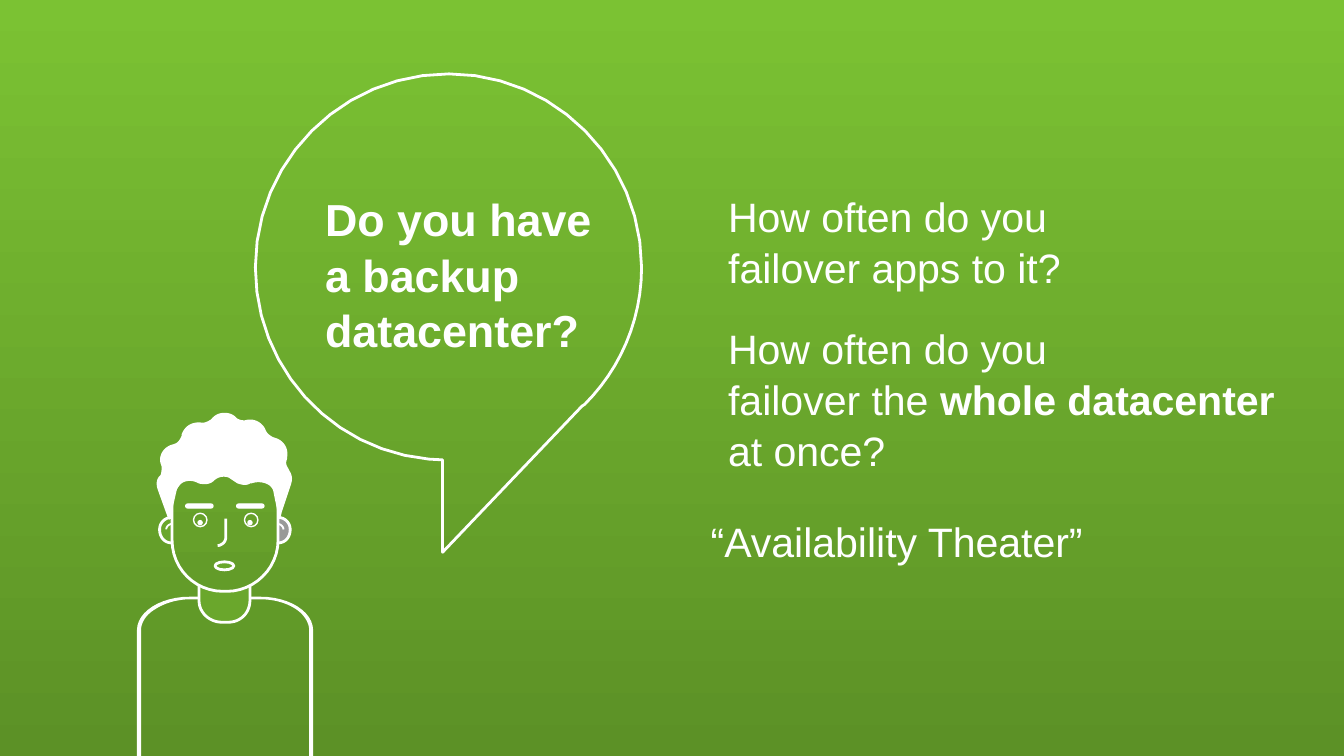
from dataclasses import dataclass
from typing import Optional

from pptx import Presentation
from pptx.dml.color import RGBColor
from pptx.enum.shapes import MSO_SHAPE as Preset
from pptx.enum.text import MSO_AUTO_SIZE as AutoSize
from pptx.util import Pt

WHITE = RGBColor(0xFF, 0xFF, 0xFF)
LIGHT_GREEN = RGBColor(0x7B, 0xC2, 0x33)
DARK_GREEN = RGBColor(0x5C, 0x91, 0x26)
SKIN_GREEN = RGBColor(0x6A, 0xA7, 0x2C)
GRAY = RGBColor(0x99, 0x9A, 0x98)
WIDTH, HEIGHT = 720, 405
FACE_MIRROR = 241  # sum of the x values of a point and its mirror point
CURVE_STEPS = 12


@dataclass
class Outline:
    """A start point, then lines (x, y) and cubic curves (six numbers)."""
    start: tuple
    segments: list
    fill: Optional[RGBColor] = None
    line: float = 0
    closed: bool = True


@dataclass
class Oval:
    left: float
    top: float
    width: float
    height: float
    fill: Optional[RGBColor] = None
    line: float = 0
    preset: Preset = Preset.OVAL


BUBBLE = Outline((240.5, 39.6), [
    (297.4, 39.6, 343.7, 86.4, 343.7, 143.3), (343.7, 172.1, 331.9, 198, 313.2, 216.7),
    (311.8, 217.6), (237.1, 295.9), (237.1, 246.4), (229.7, 246),
    (177.1, 241.2, 136.8, 196.6, 136.8, 143.3), (136.8, 86.4, 182.9, 39.6, 240.5, 39.6),
], line=1.5)

BODY = Outline((73.4, 407.5), [
    (73.4, 337.7), (73.4, 327.6, 86.4, 319.7, 101.5, 319.7), (139.7, 319.7),
    (154.8, 319.7, 167.8, 327.6, 167.8, 337.7), (167.8, 407.5), (165.7, 407.5),
    (165.7, 337.7), (165.7, 333.4, 162.7, 329, 158.4, 326.2),
    (153.4, 323, 146.9, 321.1, 139.7, 321.1), (101.5, 321.1),
    (95, 321.1, 87.8, 323.3, 83.5, 326.2), (78.5, 329, 75.6, 333.4, 75.6, 337.7),
    (75.6, 407.5),
], fill=WHITE)

NECK = Outline((122.4, 333.4), [
    (118.8, 333.4), (112.3, 333.4, 106.6, 328.3, 106.6, 321.8), (106.6, 311),
    (133.9, 311), (133.9, 321.8), (133.9, 328.3, 128.9, 333.4, 122.4, 333.4),
], fill=SKIN_GREEN, line=1.5)

HEAD = Outline((121.7, 316.8), [
    (119.5, 316.8), (104.4, 316.8, 92.2, 304.6, 92.2, 289.4), (92.2, 269.3),
    (92.2, 260.6, 99.4, 253.4, 108, 253.4), (134.6, 253.4),
    (142.6, 253.4, 149, 259.9, 149, 267.8), (149, 289.4),
    (149, 304.6, 136.1, 316.8, 121.7, 316.8),
], line=1.5)

HAIR = Outline((90.7, 277.9), [
    (85, 262.1), (84.2, 259.9, 84.2, 257, 85.7, 255.6), (86.4, 254.9),
    (87.1, 253.4, 87.1, 251.3, 87.1, 249.8), (86.4, 247.7),
    (85.7, 244.1, 87.8, 240.5, 91.4, 239), (93.6, 238.3),
    (95.8, 237.6, 97.2, 235.4, 97.9, 233.3), (97.9, 232.6),
    (99.4, 229, 102.2, 226.8, 106.6, 226.8), (107.3, 226.8),
    (109.4, 227.5, 111.6, 226.1, 113, 225.4), (114.5, 223.9),
    (117.4, 221, 122.4, 221, 125.3, 223.2), (126, 223.9),
    (127.4, 225.4, 130.3, 226.1, 132.5, 225.4), (136.1, 224.6, 140.4, 226.8, 141.8, 230.4),
    (142.6, 232.6, 144.7, 234, 146.2, 234.7), (148.3, 235.4),
    (151.9, 236.9, 154.1, 240.5, 153.4, 244.8), (153.4, 245.5),
    (152.6, 247.7, 152.6, 249.1, 154.1, 251.3), (154.8, 252.7),
    (156.2, 254.9, 156.2, 257, 155.5, 259.2), (150.5, 274.3), (149.8, 277.2), (146.9, 262.8),
    (145.4, 257.8, 138.2, 257, 134.6, 258.5), (133.9, 258.5),
    (131.8, 259.9, 129.6, 259.2, 127.4, 258.5), (123.1, 255.6),
    (120.2, 254.2, 116.6, 255, 114.5, 257), (112.3, 259.2, 109.4, 259.2, 106.6, 258.5),
    (103, 256.3, 96.5, 256.3, 94.3, 262.1),
], fill=WHITE, line=1)

RIGHT_EAR = Outline((141.8, 283.7), [
    (141.8, 280.1, 144.7, 277.2, 149, 277.2), (152.6, 277.2, 155.5, 280.1, 155.5, 283.7),
    (155.5, 288, 152.6, 290.9, 149, 290.9), (147.6, 290.9, 146.2, 290.9, 145.4, 290.2),
], fill=GRAY, line=1.5, closed=False)
RIGHT_EAR_FOLD = Outline((149, 280.8), [(150.5, 280.8, 151.9, 282.2, 151.9, 283.7)],
                         line=1, closed=False)
NOSE = Outline((116.6, 292.3), [(118.8, 292.3, 121, 290.2, 121, 288), (121, 277.9)],
               line=1.5, closed=False)


def mirror(outline: Outline, fill: Optional[RGBColor] = None) -> Outline:
    def flip(numbers: tuple) -> tuple:
        return tuple(n if i % 2 else FACE_MIRROR - n for i, n in enumerate(numbers))

    return Outline(flip(outline.start), [flip(s) for s in outline.segments],
                   fill, outline.line, outline.closed)


def flatten(outline: Outline) -> list:
    points = [outline.start]
    for segment in outline.segments:
        if len(segment) == 2:
            points.append(segment)
            continue
        anchors = [points[-1], segment[:2], segment[2:4], segment[4:]]
        for step in range(1, CURVE_STEPS + 1):
            t = step / CURVE_STEPS
            weights = ((1 - t) ** 3, 3 * t * (1 - t) ** 2, 3 * t * t * (1 - t), t ** 3)
            points.append(tuple(sum(w * a[axis] for w, a in zip(weights, anchors))
                                for axis in (0, 1)))
    return points


def style(shape, fill: Optional[RGBColor], line: float) -> None:
    shape.shadow.inherit = False
    if fill is None:
        shape.fill.background()
    else:
        shape.fill.solid()
        shape.fill.fore_color.rgb = fill
    if line:
        shape.line.color.rgb = WHITE
        shape.line.width = Pt(line)
    else:
        shape.line.fill.background()


def draw_outline(shapes, outline: Outline):
    points = [(Pt(x), Pt(y)) for x, y in flatten(outline)]
    builder = shapes.build_freeform(*points[0])
    builder.add_line_segments(points[1:], close=outline.closed)
    shape = builder.convert_to_shape()
    style(shape, outline.fill, outline.line)
    return shape


def draw_oval(shapes, oval: Oval) -> None:
    shape = shapes.add_shape(oval.preset, Pt(oval.left), Pt(oval.top),
                             Pt(oval.width), Pt(oval.height))
    style(shape, oval.fill, oval.line)
    if oval.preset == Preset.ROUNDED_RECTANGLE:
        shape.adjustments[0] = 0.5


def background_at(y: float) -> RGBColor:
    return RGBColor(*(round(a + (b - a) * y / HEIGHT)
                      for a, b in zip(LIGHT_GREEN, DARK_GREEN)))


def fill_gradient(fill, top: RGBColor, bottom: RGBColor) -> None:
    fill.gradient()
    fill.gradient_angle = 270
    for stop, color in zip(fill.gradient_stops, (top, bottom)):
        stop.color.rgb = color


def add_text(shapes, text: str, *, left: float, top: float, width: float, height: float,
             size: float = 22, bold: bool = False, bold_part: str = "",
             insets: tuple = (7.2, 4.2, 7.2, 3.6)) -> None:
    box = shapes.add_textbox(Pt(left), Pt(top), Pt(width), Pt(height))
    frame = box.text_frame
    frame.word_wrap = True
    frame.auto_size = AutoSize.NONE
    (frame.margin_left, frame.margin_top,
     frame.margin_right, frame.margin_bottom) = map(Pt, insets)
    paragraph = frame.paragraphs[0]
    paragraph.line_spacing = 1.04
    parts = text.partition(bold_part) if bold_part else (text,)
    for part in filter(None, parts):
        for index, line in enumerate(part.split("\n")):
            if index:
                paragraph.add_line_break()
            run = paragraph.add_run()
            run.text = line
            run.font.name = "Arial"
            run.font.size = Pt(size)
            run.font.bold = bold or part == bold_part
            run.font.color.rgb = WHITE


def main() -> None:
    presentation = Presentation()
    presentation.slide_width, presentation.slide_height = Pt(WIDTH), Pt(HEIGHT)
    slide = presentation.slides.add_slide(presentation.slide_layouts[6])
    fill_gradient(slide.background.fill, LIGHT_GREEN, DARK_GREEN)

    # Speech bubble
    draw_outline(slide.shapes, BUBBLE)
    add_text(slide.shapes, "Do you have\na backup datacenter?", left=159.8, top=92.9,
             width=163.4, height=121.7, size=24, bold=True, insets=(14.4, 8.5, 0, 0))

    # Person
    person = slide.shapes.add_group_shape().shapes
    for outline in (BODY, RIGHT_EAR, mirror(RIGHT_EAR, SKIN_GREEN), NECK):
        draw_outline(person, outline)
    head = draw_outline(person, HEAD)
    fill_gradient(head.fill, background_at(253.4), background_at(316.8))
    draw_outline(person, NOSE)
    for brow, eye, pupil in ((99.4, 103.7, 105.8), (126.7, 131, 132.5)):
        draw_oval(person, Oval(brow, 270, 14.8, 2.2, WHITE, 0.5, Preset.ROUNDED_RECTANGLE))
        draw_oval(person, Oval(eye, 275, 7.2, 7.2, line=0.75))
        draw_oval(person, Oval(pupil, 278.6, 2.9, 2.9, WHITE))
    for outline in (HAIR, RIGHT_EAR_FOLD, mirror(RIGHT_EAR_FOLD)):
        draw_outline(person, outline)
    draw_oval(person, Oval(115.2, 301, 10.1, 4.3, SKIN_GREEN, 1.5))

    # Follow-up questions
    add_text(slide.shapes, "How often do you\nfailover apps to it?",
             left=383, top=97.2, width=303.8, height=60.5)
    add_text(slide.shapes, "How often do you\nfailover the whole datacenter at once?",
             left=383, top=167.8, width=309.6, height=87.1, bold_part="whole datacenter")
    add_text(slide.shapes, "“Availability Theater”",
             left=373.7, top=271.4, width=309.6, height=33.8)

    presentation.save("out.pptx")


if __name__ == "__main__":
    main()
